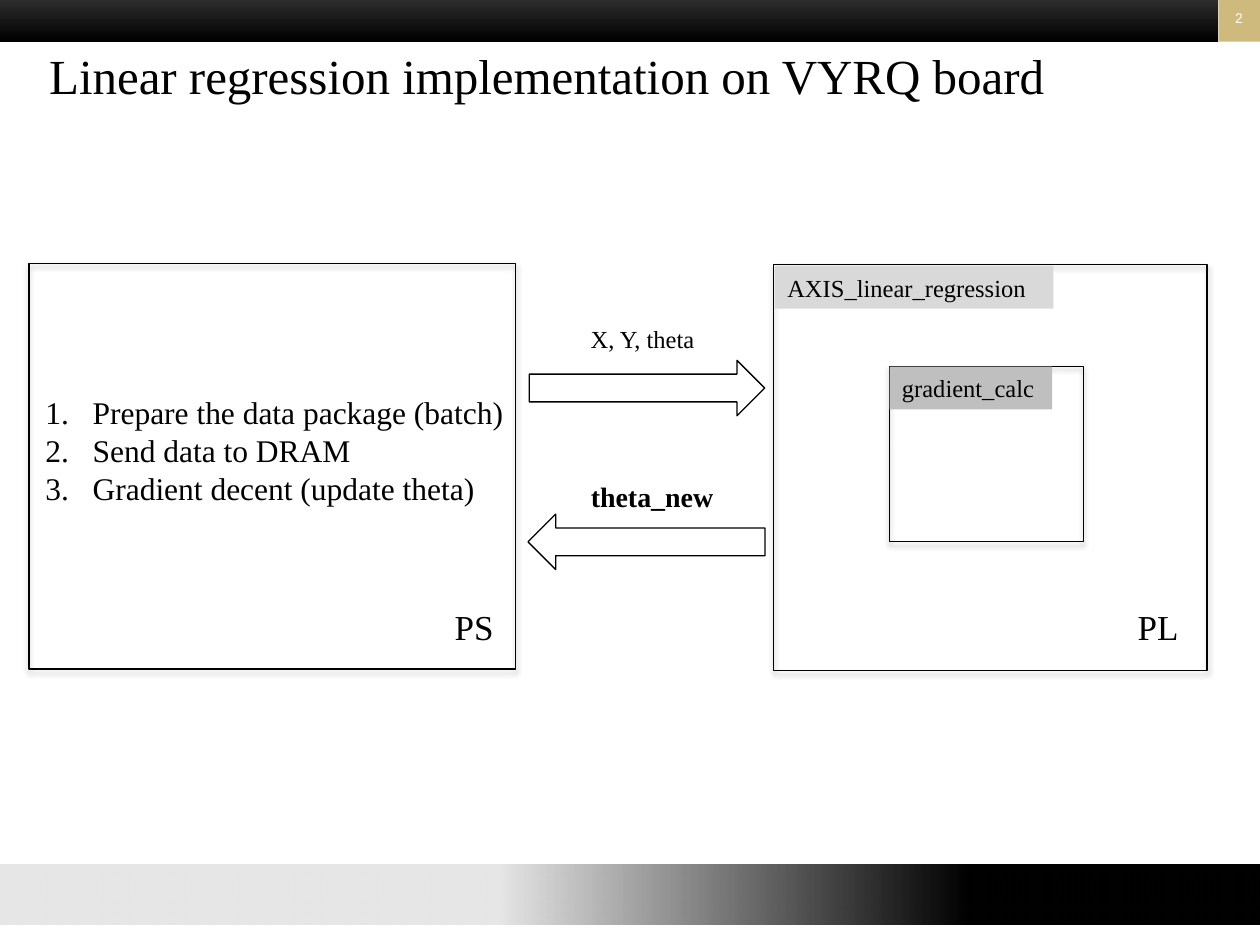
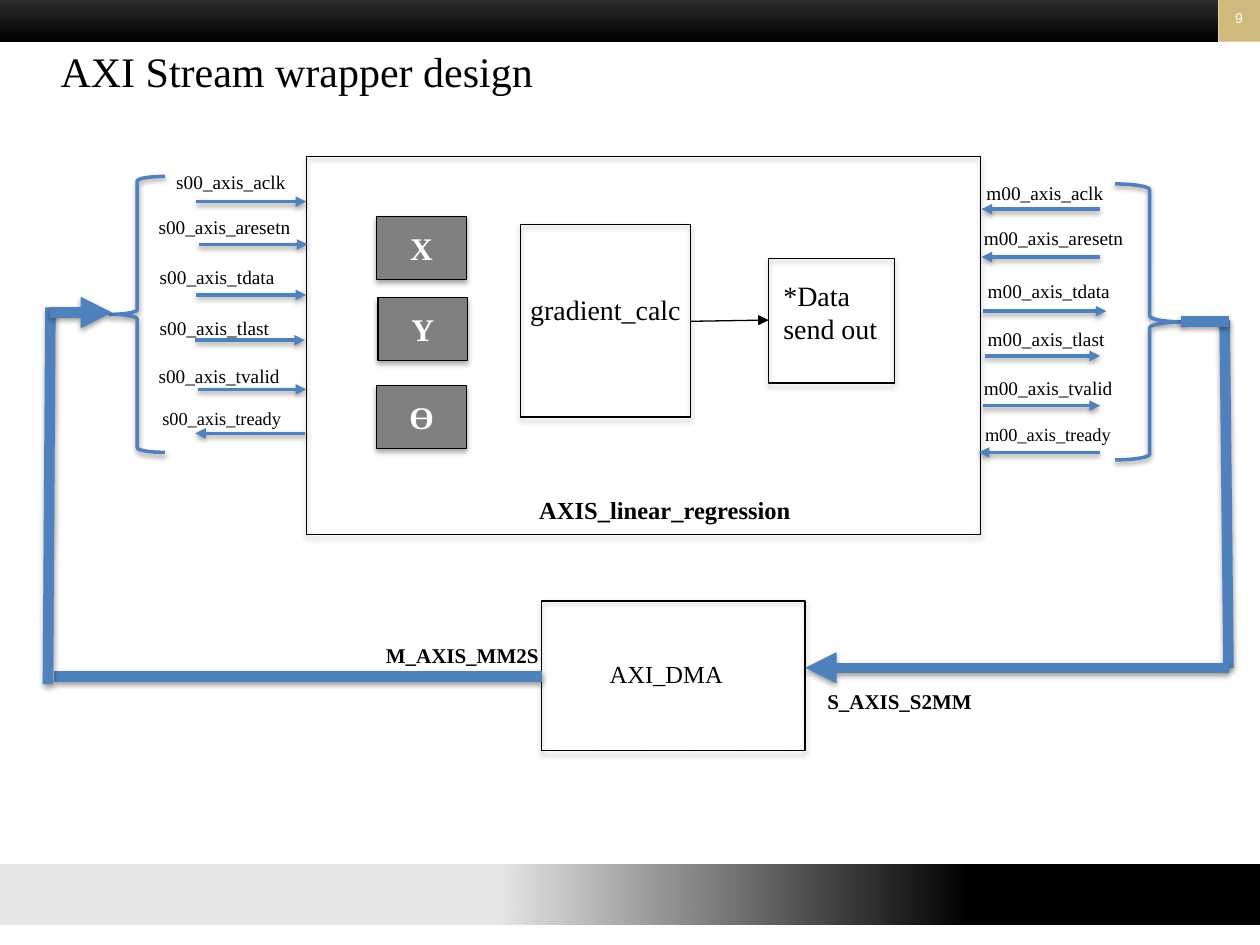
from dataclasses import dataclass

from lxml.etree import SubElement
from pptx import Presentation
from pptx.dml.color import RGBColor
from pptx.enum.shapes import MSO_CONNECTOR as LINE, MSO_SHAPE as SHAPE
from pptx.enum.text import MSO_ANCHOR as ANCHOR, MSO_AUTO_SIZE as FIT, PP_ALIGN as ALIGN
from pptx.oxml.ns import qn
from pptx.util import Pt


@dataclass(frozen=True)
class Theme:
    font: str = "Times New Roman"
    number_font: str = "Arial"
    black: str = "000000"
    white: str = "FFFFFF"
    charcoal: str = "333333"
    gold: str = "CFBA7D"
    blue: str = "4F81BD"
    tile: str = "808080"
    tag: str = "D9D9D9"
    inner_tag: str = "BFBFBF"
    number: float = 8
    signal: float = 11
    small_signal: float = 10.5
    bus: float = 12
    label: float = 14
    strong: float = 16
    body: float = 18
    side: float = 20
    wrapper_title: float = 24
    board_title: float = 28
    thin: float = 0.75
    wire: float = 2
    thick: float = 6


T = Theme()

BOARD_TITLE = "Linear regression implementation on VYRQ board"
STEPS = [
    "Prepare the data package (batch)",
    "Send data to DRAM",
    "Gradient decent (update theta)",
]
BOARD_BOXES = [
    (442, 151.2, 247.7, 231.8),
    (508.3, 209.5, 110.9, 100.1),
    (16.6, 150.5, 277.9, 231.8),
]
BOARD_TAGS = [
    ("AXIS_linear_regression", (442.8, 151.9, 159.1, 24.5), T.tag),
    ("gradient_calc", (508.3, 209.5, 92.9, 24.5), T.inner_tag),
]
BOARD_LABELS = [
    ("PL", (643, 342.7, 42, 31.7), T.side, False),
    ("PS", (252.7, 342.7, 42, 31.7), T.side, False),
    ("X, Y, theta", (330.5, 181.4, 90.7, 24.5), T.label, False),
    ("theta_new", (330.5, 270.7, 95, 26.6), T.strong, True),
]
BOARD_ARROWS = [
    (SHAPE.RIGHT_ARROW, (302.4, 205.9, 134.6, 31.7)),
    (SHAPE.LEFT_ARROW, (301.7, 293.8, 135.4, 31.7)),
]

WRAPPER_TITLE = "AXI Stream wrapper design"
WRAPPER_BOXES = [
    (175, 89.3, 385.2, 216),
    (309.6, 343.4, 150.5, 85.7),
    (297.4, 128.2, 97.2, 110.2),
    (439.2, 147.6, 72, 71.3),
]
TILES = [("X", 215.3, 123.8), ("Y", 216, 169.9), ("ϴ", 215.3, 220.3)]
TILE_SIZE = (51.1, 36)
WRAPPER_LABELS = [
    ("AXIS_linear_regression", (301, 279.4, 165, 24.5), T.label, True),
    ("AXI_DMA", (341.3, 373, 95.8, 24.5), T.label, False),
    ("gradient_calc", (295.9, 163.4, 104, 26.6), T.strong, False),
    ("*Data\nsend out", (440.6, 155.5, 76.3, 65.5), T.strong, False),
]
BUS_LABELS = [
    ("M_AXIS_MM2S", (203, 363.6, 122.4, 21.6)),
    ("S_AXIS_S2MM", (452.9, 390.2, 122.4, 21.6)),
]
SIGNALS = ["aclk", "aresetn", "tdata", "tlast", "tvalid", "tready"]
PORTS = {
    "s00": [
        (93.6, 93.6, 112.3, 175, 115.2),
        (83.5, 119.5, 113.8, 175.7, 139.7),
        (84.2, 148.3, 112.3, 175, 168.5),
        (84.2, 177.1, 111.6, 174.2, 194.4),
        (83.5, 204.5, 113, 175, 222.5),
        (85.7, 229, 174.2, 111.6, 247.7),
    ],
    "m00": [
        (556.6, 100.1, 628.6, 560.9, 119.5),
        (555.1, 126, 628.6, 560.9, 146.9),
        (557.3, 156.2, 561.6, 632.2, 177.8),
        (557.3, 183.6, 563, 628.6, 203.4),
        (555.1, 211.7, 561.6, 628.6, 231.8),
        (555.8, 238.3, 628.6, 559.4, 258.5),
    ],
}
BRACES = [
    (SHAPE.LEFT_BRACE, (62.6, 100.8, 31.7, 157.7)),
    (SHAPE.RIGHT_BRACE, (637.2, 105.1, 39.6, 157.7)),
]
BUS_LINES = [
    ((309.6, 386.6, 31, 386.6), False),
    ((27.4, 391, 28.8, 175.7), False),
    ((28.8, 178.6, 64.1, 178.6), True),
    ((702, 381.6, 699.8, 182.9), False),
    ((702, 183.6, 674.6, 183.6), False),
    ((702, 381.6, 460.1, 381.6), True),
]


def rgb(color):
    return RGBColor.from_string(color)


def pts(values):
    return [Pt(v) for v in values]


def place(sp, at):
    sp.left, sp.top, sp.width, sp.height = pts(at)


def write(tf, text, size, color=T.black, bold=False, align=ALIGN.LEFT, font=T.font):
    tf.text = text
    tf.word_wrap = True
    for p in tf.paragraphs:
        p.alignment = align
        for r in p.runs:
            r.font.name = font
            r.font.size = Pt(size)
            r.font.bold = bold
            r.font.color.rgb = rgb(color)


def add_shadow(sp, alpha, dist):
    effects = SubElement(sp._element.spPr, qn("a:effectLst"))
    if alpha:
        shadow = SubElement(effects, qn("a:outerShdw"), blurRad=str(Pt(3.15)),
                            dist=str(Pt(dist)), dir="5400000", rotWithShape="0")
        color = SubElement(shadow, qn("a:srgbClr"), val=T.black)
        SubElement(color, qn("a:alpha"), val=str(alpha * 1000))


def add_shape(s, kind, at, fill=None, line=None, width=T.thin, alpha=0, dist=1.8):
    sp = s.shapes.add_shape(kind, *pts(at))
    if fill:
        sp.fill.solid()
        sp.fill.fore_color.rgb = rgb(fill)
    else:
        sp.fill.background()
    if line:
        sp.line.color.rgb = rgb(line)
        sp.line.width = Pt(width)
    else:
        sp.line.fill.background()
    add_shadow(sp, alpha, dist)
    return sp


def add_box(s, at, fill=None):
    return add_shape(s, SHAPE.RECTANGLE, at, fill, T.black, alpha=35)


def add_label(s, text, at, size, bold=False, align=ALIGN.LEFT):
    tf = s.shapes.add_textbox(*pts(at)).text_frame
    write(tf, text, size, bold=bold, align=align)


def add_line(s, ends, color=T.blue, width=T.wire, arrow=True, alpha=38):
    cx = s.shapes.add_connector(LINE.STRAIGHT, *pts(ends))
    cx.line.color.rgb = rgb(color)
    cx.line.width = Pt(width)
    if arrow:
        SubElement(cx.line._get_or_add_ln(), qn("a:tailEnd"), type="triangle")
    add_shadow(cx, alpha, 1.57)


def set_gradient(sp, angle, stops):
    sp.fill.gradient()
    sp.fill.gradient_angle = angle
    for stop, (position, color) in zip(sp.fill.gradient_stops, stops):
        stop.position = position
        stop.color.rgb = rgb(color)


def add_slide(prs, layout, title, title_left, title_size, number):
    s = prs.slides.add_slide(prs.slide_layouts[layout])
    footer = add_shape(s, SHAPE.RECTANGLE, (-12, 493.2, 744, 36), line=T.white)
    set_gradient(footer, 0, [(0.4, T.black), (0.76, T.black)])
    faded = next(footer._element.spPr.iter(qn("a:srgbClr")))
    SubElement(faded, qn("a:alpha"), val="10000")
    header = add_shape(s, SHAPE.RECTANGLE, (0, -3.6, 696.2, 27.4))
    set_gradient(header, 270, [(0, T.charcoal), (1, T.black)])
    badge = add_shape(s, SHAPE.RECTANGLE, (696.2, -3.6, 23.8, 27.4), T.gold)
    tf = badge.text_frame
    tf.margin_left = tf.margin_right = 0
    tf.vertical_anchor = ANCHOR.MIDDLE
    write(tf, str(number), T.number, T.white, align=ALIGN.CENTER, font=T.number_font)

    place(s.shapes.title, (title_left, 22.3, 630, 54))
    tf = s.shapes.title.text_frame
    tf.auto_size = FIT.NONE
    tf.vertical_anchor = ANCHOR.TOP
    tf.margin_left = 0
    write(tf, title, title_size)
    return s


def add_steps(s):
    body = s.placeholders[1]
    place(body, (18.7, 221, 277.9, 72.7))
    tf = body.text_frame
    tf.auto_size = FIT.NONE
    write(tf, "\n".join(STEPS), T.body)
    for p in tf.paragraphs:
        p.space_before = Pt(0)
        pPr = p._p.get_or_add_pPr()
        pPr.set("marL", str(Pt(27)))
        pPr.set("indent", str(-Pt(27)))
        SubElement(pPr, qn("a:buFont"), typeface="+mj-lt")
        SubElement(pPr, qn("a:buAutoNum"), type="arabicPeriod")


def build_board(prs):
    s = add_slide(prs, 1, BOARD_TITLE, 28.1, T.board_title, 2)
    for at in BOARD_BOXES:
        add_box(s, at)
    for text, at, fill in BOARD_TAGS:
        tag = add_shape(s, SHAPE.RECTANGLE, at, fill)
        write(tag.text_frame, text, T.label)
    add_steps(s)
    for kind, at in BOARD_ARROWS:
        add_shape(s, kind, at, line=T.black)
    for label in BOARD_LABELS:
        add_label(s, *label)


def build_wrapper(prs):
    s = add_slide(prs, 5, WRAPPER_TITLE, 34.6, T.wrapper_title, 9)
    for at in WRAPPER_BOXES:
        add_box(s, at)
    for text, left, top in TILES:
        tile = add_box(s, (left, top, *TILE_SIZE), T.tile)
        tile.text_frame.vertical_anchor = ANCHOR.MIDDLE
        write(tile.text_frame, text, T.body, T.white, True, ALIGN.CENTER)
    for label in WRAPPER_LABELS:
        add_label(s, *label)
    add_line(s, (394.6, 183.6, 439.2, 182.9), T.black, T.thin, alpha=0)

    for port, rows in PORTS.items():
        for signal, (left, top, x1, x2, y) in zip(SIGNALS, rows):
            size = T.small_signal if signal == "tready" else T.signal
            add_line(s, (x1, y, x2, y))
            add_label(s, f"{port}_axis_{signal}", (left, top, 106, 20.9), size)
    for kind, at in BRACES:
        add_shape(s, kind, at, line=T.blue, width=T.wire, alpha=38, dist=1.57)
    for ends, arrow in BUS_LINES:
        add_line(s, ends, width=T.thick, arrow=arrow)
    for text, at in BUS_LABELS:
        add_label(s, text, at, T.bus, True, ALIGN.CENTER)


def main():
    prs = Presentation()
    prs.slide_width, prs.slide_height = Pt(720), Pt(540)
    build_board(prs)
    build_wrapper(prs)
    prs.save("out.pptx")


if __name__ == "__main__":
    main()
